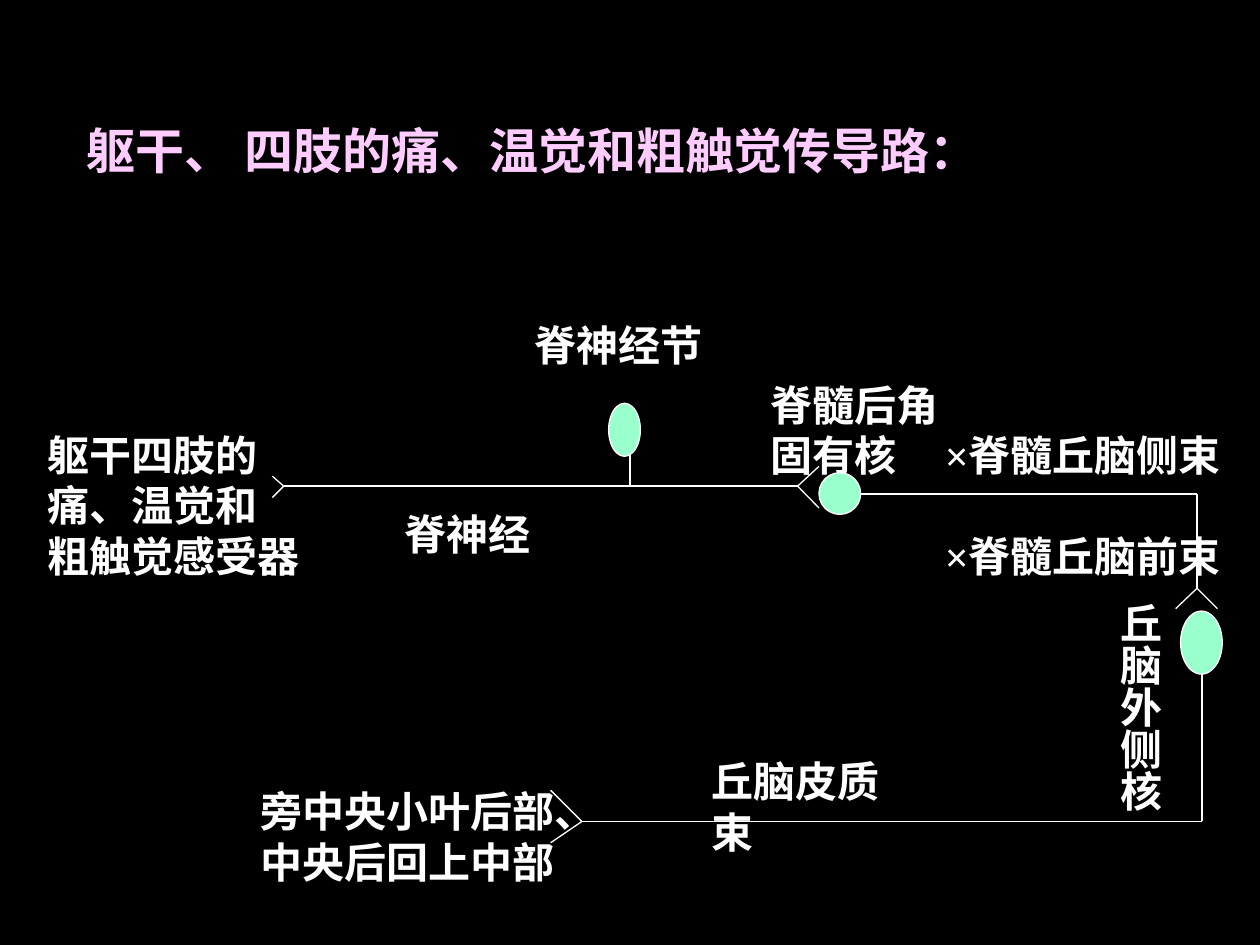
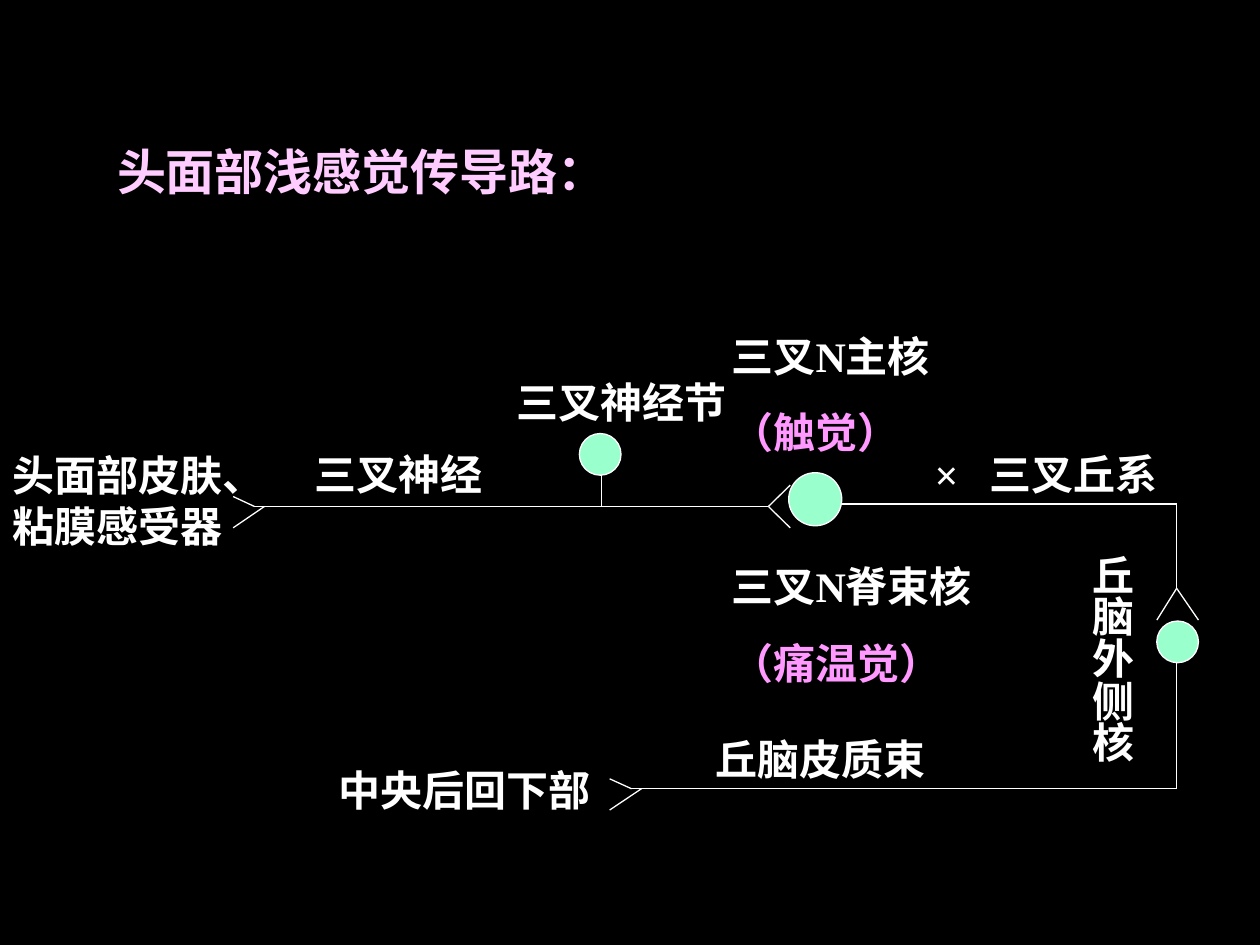
"""Builds two slides that chart the superficial sensory pathways."""
from dataclasses import dataclass
from itertools import pairwise

from lxml import etree
from pptx import Presentation
from pptx import util as u
from pptx.dml.color import RGBColor
from pptx.enum import shapes, text
from pptx.oxml.ns import qn


@dataclass
class Theme:
    back: str = "000000"
    ink: str = "FFFFFF"
    title: str = "FFCCFF"
    sense: str = "FF99FF"
    cell: str = "99FFCC"
    font: str = "Times New Roman"
    head: int = 28
    body: int = 24
    line: float = 0.75


theme = Theme()


def paint(fill, color):
    fill.solid()
    fill.fore_color.rgb = RGBColor.from_string(color)


def write(slide, words, box, size=theme.body, inks=(theme.ink,), gaps=(0,),
          wrap=False, tall=False, tab=0):
    frame = slide.shapes.add_textbox(*map(u.Cm, box)).text_frame
    frame.word_wrap = wrap
    frame.auto_size = text.MSO_AUTO_SIZE.SHAPE_TO_FIT_TEXT
    if tall:
        body = frame._txBody.bodyPr
        body.set("vert", "eaVert")
        frame.margin_left = frame.margin_right = u.Cm(0.13)
        frame.margin_top = frame.margin_bottom = u.Cm(0.25)
    for i, row in enumerate(words.split("\n")):
        para = frame.paragraphs[0] if i == 0 else frame.add_paragraph()
        para.space_before = u.Pt(gaps[i % len(gaps)])
        if tab:
            stops = etree.SubElement(para._p.get_or_add_pPr(), qn("a:tabLst"))
            etree.SubElement(stops, qn("a:tab"), pos=str(u.Cm(tab)), algn="l")
        run = para.add_run()
        run.text = row
        run.font.name, run.font.size, run.font.bold = theme.font, u.Pt(size), True
        run.font.color.rgb = RGBColor.from_string(inks[i % len(inks)])


trunk = dict(
    title=("躯干、 四肢的痛、温觉和粗触觉传导路：", (1.5, 2.31, 18.44, 1.45), True),
    lines=[
        [(5.72, 9.8), (16.08, 9.8)],
        [(12.7, 9.17), (12.7, 9.8)],
        [(5.49, 9.6), (5.72, 9.8), (5.49, 10.03)],
        [(16.51, 9.4), (16.08, 9.8), (16.51, 10.24)],
        [(17.35, 9.96), (24.13, 9.96), (24.13, 11.86)],
        [(23.7, 12.27), (24.13, 11.86), (24.54, 12.27)],
        [(24.23, 13.59), (24.23, 16.56), (11.73, 16.56)],
        [(11.1, 15.93), (11.73, 16.56), (11.1, 16.99)],
    ],
    labels=[
        ("躯干四肢的\n痛、温觉和\n粗触觉感受器", (0.71, 8.53, 5.59, 3.3), {}),
        ("脊神经节", (10.52, 6.32, 3.89, 1.27), {}),
        ("脊神经", (7.9, 10.13, 3.05, 1.27), {}),
        ("脊髓后角固有核", (15.29, 7.52, 4.45, 2.29), dict(wrap=True)),
        ("×脊髓丘脑侧束\n×脊髓丘脑前束", (18.8, 8.53, 6.27, 3.3), dict(gaps=(0, 29))),
        ("丘脑皮质束", (14.1, 15.11, 4.72, 1.27), {}),
        ("旁中央小叶后部、\n中央后回上中部", (5, 15.72, 7.26, 2.29), {}),
        ("丘脑外侧核", (22.1, 11.89, 1.52, 4.5), dict(tall=True)),
    ],
    cells=[(12.27, 8.13, 0.64, 1.07), (16.51, 9.53, 0.84, 0.84),
           (23.8, 12.32, 0.84, 1.27)],
)

face = dict(
    title=("头面部浅感觉传导路：", (2.11, 2.72, 10.36, 1.45), False),
    lines=[
        [(5.13, 10.21), (15.49, 10.21)],
        [(12.12, 9.58), (12.12, 10.21)],
        [(5.13, 10.21), (4.7, 10.01)],
        [(5.33, 10.21), (4.7, 10.64)],
        [(15.93, 9.78), (15.49, 10.21), (15.93, 10.64)],
        [(16.97, 10.16), (23.72, 10.16), (23.72, 11.86)],
        [(23.32, 12.5), (23.72, 11.86), (24.16, 12.5)],
        [(23.72, 13.36), (23.72, 15.9), (12.73, 15.9)],
        [(12.73, 15.9), (12.29, 15.7)],
        [(12.93, 15.9), (12.29, 16.33)],
    ],
    labels=[
        ("三叉神经节", (10.16, 7.47, 4.88, 1.27), dict(wrap=True)),
        ("头面部皮肤、\n粘膜感受器", (0, 8.94, 5.59, 2.29), {}),
        ("三叉神经", (6.1, 8.92, 3.89, 1.27), {}),
        ("三叉N主核\n（触觉）\n三叉N脊束核\n（痛温觉）", (14.5, 6.53, 5.54, 8.48),
         dict(wrap=True, inks=(theme.ink, theme.sense), gaps=(0, 15, 59, 15))),
        ("×\t三叉丘系", (18.59, 8.92, 5.6, 1.27), dict(wrap=True, tab=1.1)),
        ("丘脑外侧核", (21.54, 10.92, 1.52, 4.8), dict(wrap=True, tall=True)),
        ("丘脑皮质束", (14.17, 14.66, 7.42, 1.27), dict(wrap=True)),
        ("中央后回下部", (6.58, 15.29, 5.59, 1.27), {}),
    ],
    cells=[(11.68, 8.74, 0.84, 0.84), (15.9, 9.53, 1.07, 1.07),
           (23.32, 12.52, 0.84, 0.84)],
)

deck = Presentation()
deck.slide_width, deck.slide_height = u.Cm(25.4), u.Cm(19.05)
paint(deck.slide_master.background.fill, theme.back)

for route in (trunk, face):
    slide = deck.slides.add_slide(deck.slide_layouts[6])
    for chain in route["lines"]:
        for start, end in pairwise(chain):
            nerve = slide.shapes.add_connector(
                shapes.MSO_CONNECTOR.STRAIGHT, *map(u.Cm, start + end))
            paint(nerve.line.fill, theme.ink)
            nerve.line.width = u.Pt(theme.line)
            etree.SubElement(nerve._element.spPr, qn("a:effectLst"))
    for words, box, style in route["labels"]:
        write(slide, words, box, **style)
    for box in route["cells"]:
        cell = slide.shapes.add_shape(shapes.MSO_SHAPE.OVAL, *map(u.Cm, box))
        cell.shadow.inherit = False
        paint(cell.fill, theme.cell)
        paint(cell.line.fill, theme.ink)
        cell.line.width = u.Pt(theme.line)
    words, box, wrap = route["title"]
    write(slide, words, box, size=theme.head, inks=(theme.title,), wrap=wrap)

deck.save("out.pptx")
